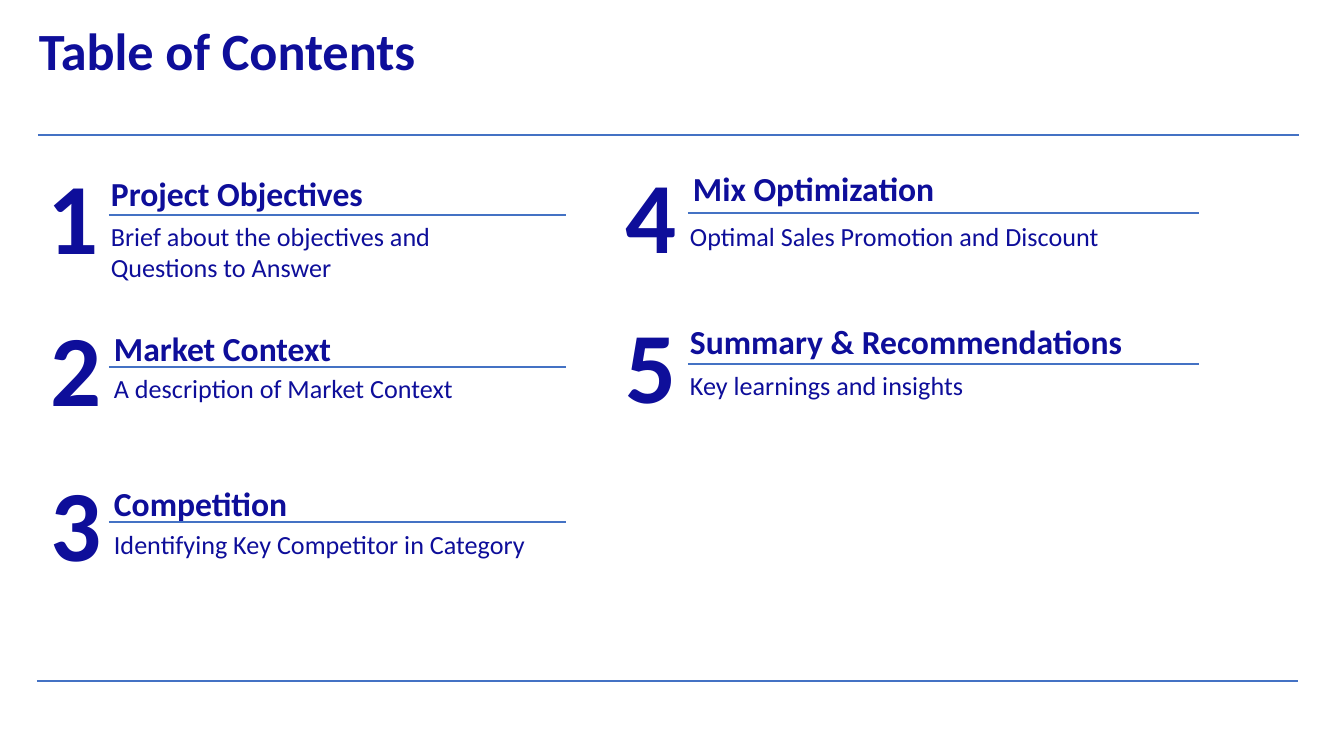
from pptx import Presentation
from pptx.dml.color import RGBColor
from pptx.enum.shapes import MSO_CONNECTOR
from pptx.enum.text import MSO_ANCHOR, PP_ALIGN
from pptx.oxml.ns import qn
from pptx.util import Emu, Pt

LINE = MSO_CONNECTOR.STRAIGHT
TOP, MIDDLE = MSO_ANCHOR.TOP, MSO_ANCHOR.MIDDLE
LEFT, CENTER, JUSTIFY = PP_ALIGN.LEFT, PP_ALIGN.CENTER, PP_ALIGN.JUSTIFY

COLORS = {"text": "0E0E9A", "rule": "4472C4"}
FONT = "Calibri"
SCALE = 914400 / 134.4

TITLE = "Table of Contents"
COLUMNS = [
    {"rule": (109, 566), "topics": [
        {"num": ("1", 28, 141), "head": ("Project Objectives", 106, 168),
         "note": ("Brief about the objectives and Questions to Answer", 106, 215, 430),
         "rule": 215},
        {"num": ("2", 31, 293), "head": ("Market Context", 109, 323),
         "note": ("A description of Market Context", 109, 367, 710),
         "rule": 367},
        {"num": ("3", 31, 448), "head": ("Competition", 109, 478),
         "note": ("Identifying Key Competitor in Category", 109, 523, 710),
         "rule": 522},
    ]},
    {"rule": (688, 1199), "topics": [
        {"num": ("4", 606, 140), "head": ("Mix Optimization", 688, 163),
         "note": ("Optimal Sales Promotion and Discount", 685, 215, 499),
         "rule": 213},
        {"num": ("5", 606, 290), "head": ("Summary & Recommendations", 685, 316),
         "note": ("Key learnings and insights", 685, 364, 327),
         "rule": 364},
    ]},
]
FRAME = [(38, 1299, 135), (37, 1298, 681)]


def px(n):
    return Emu(round(n * SCALE))


def add_text(slide, text, x, y, w, h, size, bold=True, align=LEFT, pad=5, anchor=TOP):
    box = slide.shapes.add_textbox(px(x), px(y), px(w), px(h))
    frame = box.text_frame
    frame.word_wrap = True
    frame.vertical_anchor = anchor
    frame.margin_left = frame.margin_right = px(pad)
    frame.margin_top = frame.margin_bottom = px(pad)
    para = frame.paragraphs[0]
    para.text = text
    para.alignment = align
    font = para.font
    font.name, font.size, font.bold = FONT, Pt(size), bold
    font.color.rgb = RGBColor.from_string(COLORS["text"])
    return para


def add_rule(slide, left, right, y):
    rule = slide.shapes.add_connector(LINE, px(left), px(y), px(right), px(y))
    rule.line.color.rgb = RGBColor.from_string(COLORS["rule"])
    rule.line.width = Pt(0.75)
    props = rule._element.spPr
    props.append(props.makeelement(qn("a:effectLst"), {}))


def main():
    deck = Presentation()
    deck.slide_width, deck.slide_height = px(1344), px(756)
    slide = deck.slides.add_slide(deck.slide_layouts[6])

    title = add_text(slide, TITLE, 26, 9, 1253, 89, 28, pad=13, anchor=MIDDLE)
    title.line_spacing = 0.9

    for column in COLUMNS:
        for topic in column["topics"]:
            num, x, y = topic["num"]
            add_text(slide, num, x, y, 91, 149, 54, align=CENTER, pad=13)
            head, x, y = topic["head"]
            add_text(slide, head, x, y, 500, 51, 18, align=JUSTIFY)
            note, x, y, w = topic["note"]
            add_text(slide, note, x, y, w, 43, 14, bold=False)
            add_rule(slide, *column["rule"], topic["rule"])

    for left, right, y in FRAME:
        add_rule(slide, left, right, y)

    deck.save("out.pptx")


if __name__ == "__main__":
    main()
